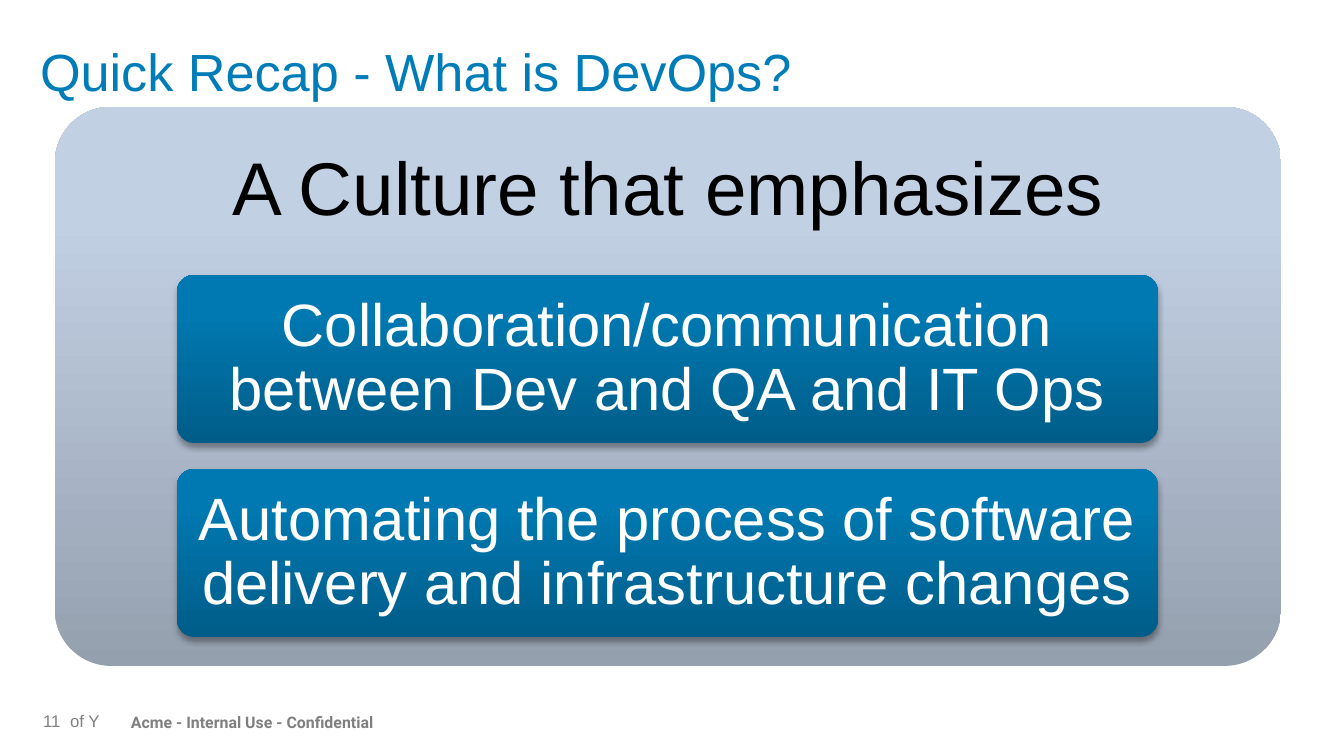
from copy import deepcopy
from dataclasses import dataclass

from lxml.etree import SubElement
from pptx import Presentation
from pptx.dml.color import RGBColor
from pptx.enum.shapes import MSO_SHAPE
from pptx.enum.text import MSO_ANCHOR as Anchor, PP_ALIGN as Align
from pptx.oxml.ns import qn
from pptx.util import Emu, Pt


@dataclass(frozen=True)
class Theme:
    font: str = "Arial"
    footer_font: str = "Roboto"
    title: str = "007DB8"
    heading: str = "000000"
    card_text: str = "FFFFFF"
    number: str = "808080"
    notice: str = "7F7F7F"
    shadow: str = "000000"
    # Gradient stops from the bottom edge to the top edge
    panel_fill: tuple = ((0, "95A0AF"), (0.8, "C2D0E3"), (1, "C2D1E4"))
    card_fill: tuple = ((0, "005D89"), (0.8, "0079B2"), (1, "007AB3"))
    title_size: float = 28
    heading_size: float = 40
    card_size: float = 32
    number_size: float = 9
    notice_size: float = 8.5


THEME = Theme()

# Content
TITLE = "Quick Recap - What is DevOps?"
HEADING = "A Culture that emphasizes"
CARDS = [
    "Collaboration/communication between Dev and QA and IT Ops",
    "Automating the process of software delivery and infrastructure changes",
]
PAGE_NUMBER = [("11", 43), ("of Y", 70)]
NOTICE = "Acme - Internal Use - Confidential"

# Layout in px
SLIDE_WIDTH, SLIDE_HEIGHT = 1344, 756
PANEL = (55, 107, 1226, 559)
PANEL_RADIUS = 56
CARD_LEFT, CARD_TOP, CARD_WIDTH, CARD_HEIGHT = 177, 275, 981, 168
CARD_GAP = 26
CARD_RADIUS = 17


def px(value):
    return Emu(round(value * 914400 / 134.4))


def write(shape, text, size, color, font=THEME.font, bold=False,
          align=Align.LEFT, anchor=Anchor.TOP, insets=(0, 0, 0, 0)):
    frame = shape.text_frame
    frame.word_wrap = True
    frame.vertical_anchor = anchor
    (frame.margin_left, frame.margin_top,
     frame.margin_right, frame.margin_bottom) = map(px, insets)
    paragraph = frame.paragraphs[0]
    paragraph.text = text
    paragraph.alignment = align
    paragraph.line_spacing = 0.9
    paragraph.font.name = font
    paragraph.font.size = Pt(size)
    paragraph.font.bold = bold
    paragraph.font.color.rgb = RGBColor.from_string(color)


def add_text(slide, box, *args, **options):
    write(slide.shapes.add_textbox(*map(px, box)), *args, **options)


def add_rounded(slide, box, radius, stops):
    shape = slide.shapes.add_shape(MSO_SHAPE.ROUNDED_RECTANGLE, *map(px, box))
    shape.adjustments[0] = radius / min(box[2:])
    shape.shadow.inherit = False
    shape.line.fill.background()
    shape.fill.gradient()
    shape.fill.gradient_angle = 90
    # The default gradient has two stops; a third is cloned
    stop_list = shape.element.spPr.find(".//" + qn("a:gsLst"))
    stop_list.append(deepcopy(stop_list[-1]))
    for stop, (position, color) in zip(shape.fill.gradient_stops, stops):
        stop.position = position
        stop.color.rgb = RGBColor.from_string(color)
    return shape


def add_shadow(shape):
    effects = shape.element.spPr.find(qn("a:effectLst"))
    shadow = SubElement(effects, qn("a:outerShdw"), blurRad=str(Pt(3.1)),
                        dist=str(Pt(1.8)), dir="5400000", rotWithShape="0")
    color = SubElement(shadow, qn("a:srgbClr"), val=THEME.shadow)
    SubElement(color, qn("a:alpha"), val="35000")


def main():
    presentation = Presentation()
    presentation.slide_width = px(SLIDE_WIDTH)
    presentation.slide_height = px(SLIDE_HEIGHT)
    slide = presentation.slides.add_slide(presentation.slide_layouts[6])

    # Footer
    add_text(slide, (131, 708, 400, 52), NOTICE, THEME.notice_size,
             THEME.notice, font=THEME.footer_font, bold=True,
             insets=(0, 7, 0, 7))
    for text, left in PAGE_NUMBER:
        add_text(slide, (left, 716, 39, 13), text, THEME.number_size,
                 THEME.number, anchor=Anchor.MIDDLE)

    # Title
    add_text(slide, (40, 39, 1169, 98), TITLE, THEME.title_size, THEME.title,
             insets=(0, 7, 0, 7))

    # Panel with its heading
    panel = add_rounded(slide, PANEL, PANEL_RADIUS, THEME.panel_fill)
    write(panel, HEADING, THEME.heading_size, THEME.heading,
          align=Align.CENTER, anchor=Anchor.MIDDLE, insets=(7, 7, 7, 398))

    # Stacked cards
    for index, text in enumerate(CARDS):
        top = CARD_TOP + index * (CARD_HEIGHT + CARD_GAP)
        card = add_rounded(slide, (CARD_LEFT, top, CARD_WIDTH, CARD_HEIGHT),
                           CARD_RADIUS, THEME.card_fill)
        add_shadow(card)
        write(card, text, THEME.card_size, THEME.card_text,
              align=Align.CENTER, anchor=Anchor.MIDDLE, insets=(12, 8, 12, 8))

    presentation.save("out.pptx")


if __name__ == "__main__":
    main()
